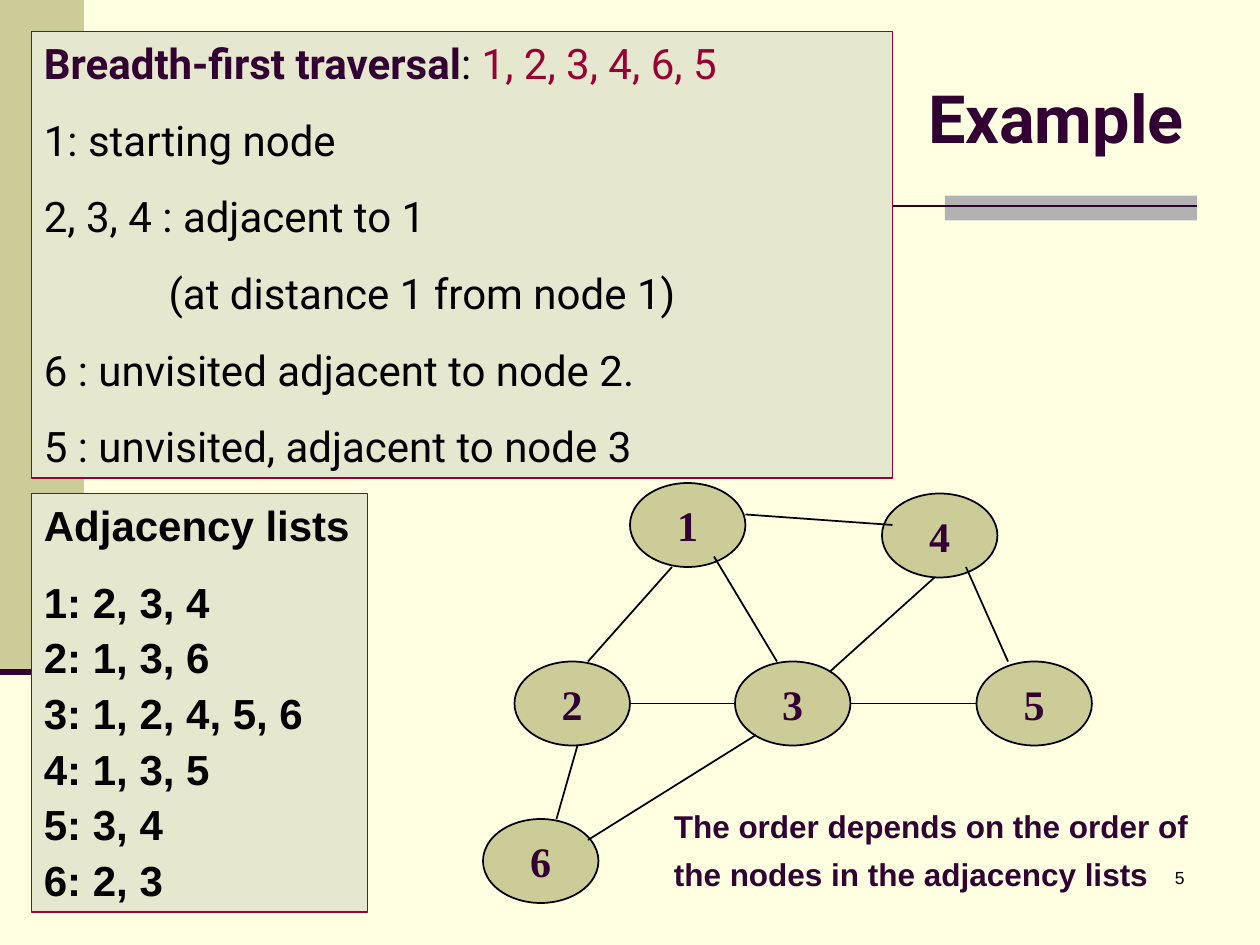
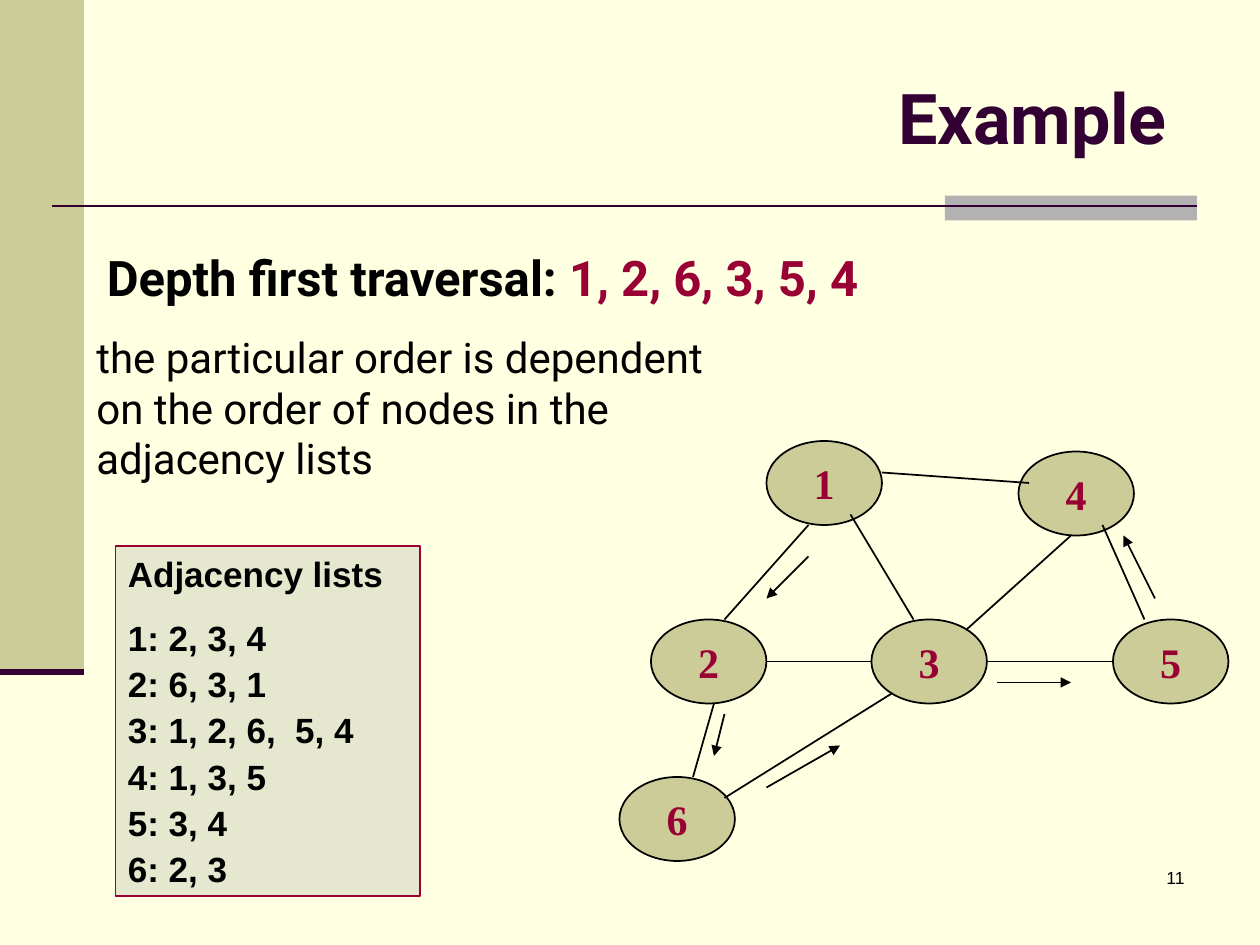
from pptx import Presentation
from pptx.dml.color import RGBColor
from pptx.enum.shapes import MSO_CONNECTOR, MSO_SHAPE
from pptx.enum.text import MSO_ANCHOR, PP_ALIGN
from pptx.oxml.ns import qn
from pptx.util import Pt
from lxml import etree

PX = 9525
CREAM = RGBColor(0xFF, 0xFF, 0xE1)
KHAKI = RGBColor(0xCC, 0xCC, 0x99)
GRAY = RGBColor(0xB2, 0xB2, 0xB2)
PANEL = RGBColor(0xE5, 0xE7, 0xCF)
PLUM = RGBColor(0x33, 0x00, 0x33)
WINE = RGBColor(0x99, 0x00, 0x33)
BLACK = RGBColor(0, 0, 0)

NODE_WIDTH, NODE_HEIGHT = 88, 64
NODES = {"1": (480, 368), "4": (672, 376), "2": (392, 504),
         "3": (560, 504), "5": (744, 504), "6": (368, 624)}
EDGES = [
    (512, 432, 448, 504), (568, 392, 680, 400), (544, 424, 592, 504),
    (480, 536, 560, 536), (632, 512, 712, 440), (648, 536, 744, 536),
    (736, 432, 768, 504), (440, 568, 424, 624), (448, 640, 576, 560),
]
VISIT_ARROWS = [
    (616, 424, 584, 456), (552, 544, 544, 576), (584, 600, 640, 568),
    (760, 520, 816, 520), (880, 456, 856, 408),
]
EXAMPLES = [
    {
        "number": "5", "title_size": 38, "title_margin": 10,
        "graph_offset": (0, 0), "node_color": PLUM, "arrows": [],
        "lists_box": (24, 376, 256, 319), "lists_size": 24,
        "lists": ["1: 2, 3, 4", "2: 1, 3, 6", "3: 1, 2, 4, 5, 6",
                  "4: 1, 3, 5", "5: 3, 4", "6: 2, 3"],
    },
    {
        "number": "11", "title_size": 40, "title_margin": 23,
        "graph_offset": (104, -32), "node_color": WINE, "arrows": VISIT_ARROWS,
        "lists_box": (88, 416, 232, 267), "lists_size": 20,
        "lists": ["1: 2, 3, 4", "2: 6, 3, 1", "3: 1, 2, 6,  5, 4",
                  "4: 1, 3, 5", "5: 3, 4", "6: 2, 3"],
    },
]


def add_box(slide, box, paragraphs=(), font="Arial", size=24, fill=None, line=None,
            preset=MSO_SHAPE.RECTANGLE, align=PP_ALIGN.LEFT, gap=0):
    """Add a shape, or a text box if it has no fill; a run is (text, color, bold)."""
    lengths = [value * PX for value in box]
    if fill is None:
        shape = slide.shapes.add_textbox(*lengths)
    else:
        shape = slide.shapes.add_shape(preset, *lengths)
        shape.shadow.inherit = False
        shape.fill.solid()
        shape.fill.fore_color.rgb = fill
        if line is None:
            shape.line.fill.background()
        else:
            shape.line.color.rgb = line
            shape.line.width = Pt(1)
    frame = shape.text_frame
    frame.word_wrap = True
    frame.vertical_anchor = MSO_ANCHOR.TOP
    for index, runs in enumerate(paragraphs):
        paragraph = frame.add_paragraph() if index else frame.paragraphs[0]
        paragraph.alignment = align
        if index:
            paragraph.space_before = Pt(gap)
        for text, color, bold in runs:
            run = paragraph.add_run()
            run.text = text
            run.font.name = font
            run.font.size = Pt(size)
            run.font.bold = bold
            run.font.color.rgb = color
    return shape


def add_line(slide, ends, color=BLACK, width=1, arrow=False):
    connector = slide.shapes.add_connector(
        MSO_CONNECTOR.STRAIGHT, *[value * PX for value in ends])
    connector.line.color.rgb = color
    connector.line.width = Pt(width)
    properties = connector._element.spPr
    if arrow:
        etree.SubElement(properties.find(qn("a:ln")), qn("a:tailEnd"), type="triangle")
    etree.SubElement(properties, qn("a:effectLst"))


presentation = Presentation()
presentation.slide_width = 960 * PX
presentation.slide_height = 720 * PX
background = presentation.slide_master.background.fill
background.solid()
background.fore_color.rgb = CREAM

slides = []
for example in EXAMPLES:
    slide = presentation.slides.add_slide(presentation.slide_layouts[5])
    slides.append(slide)

    # Bands, rules and page number
    add_box(slide, (0, 0, 64, 512), fill=KHAKI)
    add_box(slide, (720, 149, 192, 19), fill=GRAY)
    add_line(slide, (40, 157, 912, 157), PLUM, 1.5)
    add_line(slide, (0, 512, 64, 512), PLUM, 3.5)
    add_box(slide, (712, 656, 200, 48), [[(example["number"], BLACK, False)]],
            size=10, align=PP_ALIGN.RIGHT)

    title = slide.shapes.title
    title.left, title.top, title.width, title.height = (
        value * PX for value in (96, 29, 816, 120))
    title.text_frame.vertical_anchor = MSO_ANCHOR.MIDDLE
    title.text_frame.margin_right = example["title_margin"] * PX
    paragraph = title.text_frame.paragraphs[0]
    paragraph.alignment = PP_ALIGN.RIGHT
    run = paragraph.add_run()
    run.text = "Example"
    run.font.name = "Roboto"
    run.font.size = Pt(example["title_size"])
    run.font.bold = True
    run.font.color.rgb = PLUM

    # Graph
    dx, dy = example["graph_offset"]
    for label, (x, y) in NODES.items():
        node = add_box(slide, (x + dx, y + dy, NODE_WIDTH, NODE_HEIGHT),
                       [[(label, example["node_color"], True)]],
                       font="Times New Roman", fill=KHAKI, line=BLACK,
                       preset=MSO_SHAPE.OVAL, align=PP_ALIGN.CENTER)
        node.text_frame.word_wrap = False
        node.text_frame.vertical_anchor = MSO_ANCHOR.MIDDLE
    for x1, y1, x2, y2 in EDGES:
        add_line(slide, (x1 + dx, y1 + dy, x2 + dx, y2 + dy))
    for ends in example["arrows"]:
        add_line(slide, ends, arrow=True)

    # Adjacency lists
    size = example["lists_size"]
    lines = ["Adjacency lists"] + example["lists"]
    lists = add_box(slide, example["lists_box"], [[(text, BLACK, True)] for text in lines],
                    size=size, fill=PANEL, line=WINE, gap=size / 8)
    lists.text_frame.paragraphs[1].space_before = Pt(size * 5 / 8)

breadth_slide, depth_slide = slides

traversal = add_box(breadth_slide, (24, 24, 656, 340), [
    [("Breadth-first traversal", PLUM, True), (": ", BLACK, False),
     ("1, 2, 3, 4, 6, 5", WINE, False)],
    [("1: starting node", BLACK, False)],
    [("2, 3, 4 : adjacent to 1", BLACK, False)],
    [("(at distance 1 from node 1)", BLACK, False)],
    [("6 : unvisited adjacent to node 2.", BLACK, False)],
    [("5 : unvisited, adjacent to node 3", BLACK, False)],
], font="Roboto", fill=PANEL, line=WINE, gap=15)
distance_note = traversal.text_frame.paragraphs[3]
distance_note._p.get_or_add_pPr().set("marL", str(95 * PX))

order_note = add_box(breadth_slide, (504, 608, 424, 77), [
    [("The order depends on the order of the nodes in the adjacency lists", PLUM, True)],
], size=18)
order_note.text_frame.margin_top = 0
order_note.text_frame.paragraphs[0].line_spacing = Pt(27)

add_box(depth_slide, (72, 184, 680, 55), [
    [("Depth first traversal: ", BLACK, True), ("1, 2, 6, 3, 5, 4", WINE, True)],
], font="Roboto", size=28)
add_box(depth_slide, (64, 248, 504, 125), [
    [("the particular order is dependent on the order of nodes in the adjacency lists",
      BLACK, False)],
], font="Roboto")

presentation.save("out.pptx")
